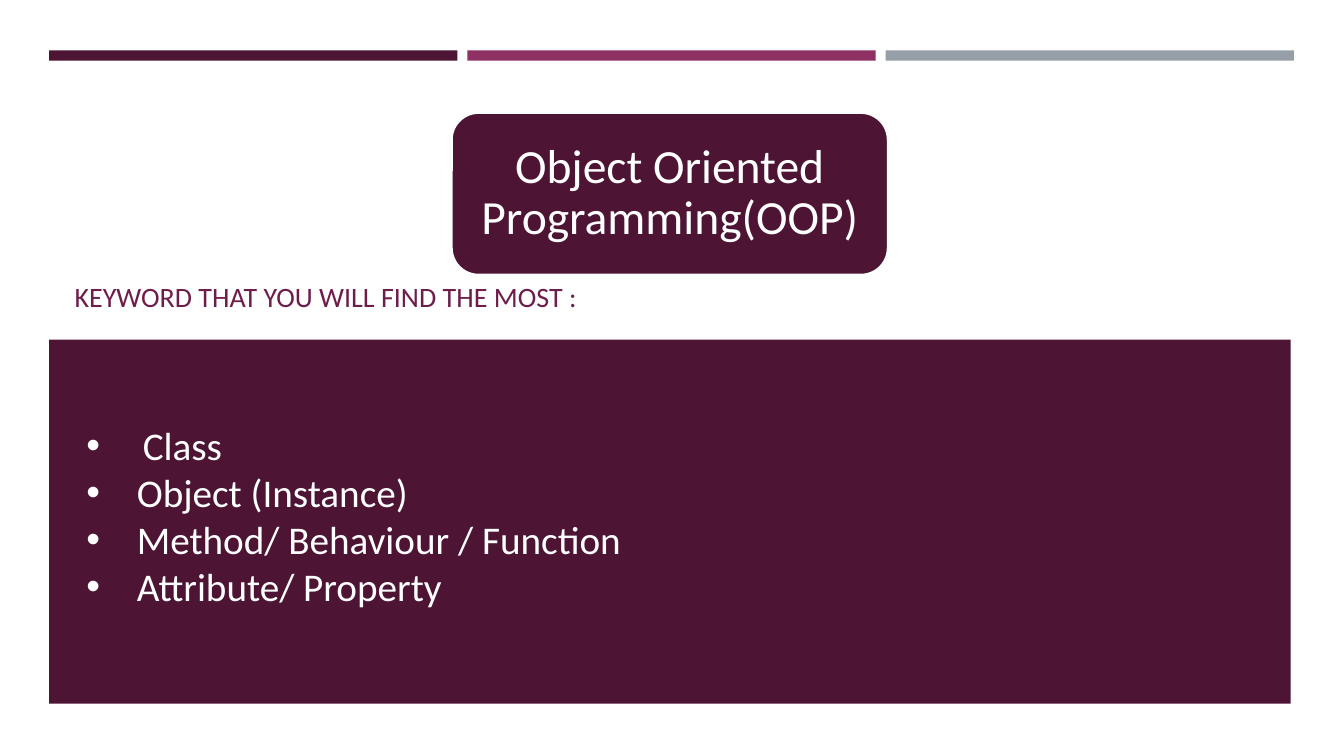
from lxml.etree import SubElement
from pptx import Presentation
from pptx.dml.color import RGBColor
from pptx.enum.shapes import MSO_SHAPE
from pptx.enum.text import MSO_ANCHOR, PP_ALIGN
from pptx.oxml.ns import qn
from pptx.util import Cm, Pt

PLUM = RGBColor(0x4D, 0x14, 0x34)
MAGENTA = RGBColor(0x90, 0x31, 0x63)
GREY = RGBColor(0x96, 0x9F, 0xA7)
WINE = RGBColor(0x6E, 0x1D, 0x4A)
WHITE = RGBColor(0xFF, 0xFF, 0xFF)

LEFT = 1.24
BAR_WIDTH = 10.29
BAR_STEP = 10.54
# Each keyword with its hanging indent in centimetres
KEYWORDS = [
    ("Class", 1.42),
    ("Object (Instance)", 1.27),
    ("Method/ Behaviour / Function", 1.27),
    ("Attribute/ Property", 1.27),
]


def add_block(page, kind, left, top, width, height, color):
    block = page.shapes.add_shape(kind, Cm(left), Cm(top), Cm(width), Cm(height))
    block.shadow.inherit = False
    block.fill.solid()
    block.fill.fore_color.rgb = color
    block.line.fill.background()
    return block


def add_text_frame(page, left, top, width, height):
    box = page.shapes.add_textbox(Cm(left), Cm(top), Cm(width), Cm(height))
    box.text_frame.word_wrap = True
    return box.text_frame


def style(paragraph, size, color):
    paragraph.font.name = "Calibri"
    paragraph.font.size = Pt(size)
    paragraph.font.color.rgb = color


def add_bullet(paragraph, indent):
    properties = paragraph._p.get_or_add_pPr()
    properties.set("marL", str(Cm(indent)))
    properties.set("indent", str(-Cm(indent)))
    SubElement(properties, qn("a:buFont"), typeface="Arial")
    SubElement(properties, qn("a:buChar"), char="•")


def add_text_shadow(span):
    effects = SubElement(span._r.get_or_add_rPr(), qn("a:effectLst"))
    shadow = SubElement(effects, qn("a:outerShdw"), blurRad="38100",
                        dist="38100", dir="2700000", algn="tl")
    color = SubElement(shadow, qn("a:srgbClr"), val="000000")
    SubElement(color, qn("a:alpha"), val="43000")


def add_title(page):
    title = add_block(page, MSO_SHAPE.ROUNDED_RECTANGLE, 11.38, 2.84, 11, 4.09, PLUM)
    title.line.color.rgb = WHITE
    title.line.width = Pt(1.75)
    frame = title.text_frame
    frame.word_wrap = True
    frame.vertical_anchor = MSO_ANCHOR.MIDDLE
    frame.margin_left = frame.margin_right = Cm(0.36)
    frame.margin_top = frame.margin_bottom = Cm(0.18)
    paragraph = frame.paragraphs[0]
    paragraph.text = "Object Oriented Programming(OOP)"
    paragraph.alignment = PP_ALIGN.CENTER
    paragraph.line_spacing = 0.9
    style(paragraph, 34, WHITE)


def add_subtitle(page):
    paragraph = add_text_frame(page, 1.63, 6.93, 30.53, 1.65).paragraphs[0]
    paragraph.text = "KEYWORD THAT YOU WILL FIND THE MOST :"
    style(paragraph, 20, WINE)


def add_keywords(page):
    frame = add_text_frame(page, 1.93, 10.49, 29.9, 5.05)
    for index, (keyword, indent) in enumerate(KEYWORDS):
        paragraph = frame.add_paragraph() if index else frame.paragraphs[0]
        add_bullet(paragraph, indent)
        span = paragraph.add_run()
        span.text = keyword
        add_text_shadow(span)
        style(paragraph, 28, WHITE)


def main():
    deck = Presentation()
    deck.slide_width, deck.slide_height = Cm(33.87), Cm(19.05)
    page = deck.slides.add_slide(deck.slide_layouts[6])
    for index, color in enumerate((PLUM, MAGENTA, GREY)):
        add_block(page, MSO_SHAPE.RECTANGLE, LEFT + index * BAR_STEP, 1.27,
                  BAR_WIDTH, 0.26, color)
    add_block(page, MSO_SHAPE.RECTANGLE, LEFT, 8.56, 31.29, 9.17, PLUM)
    add_title(page)
    add_subtitle(page)
    add_keywords(page)
    deck.save("out.pptx")


if __name__ == "__main__":
    main()
